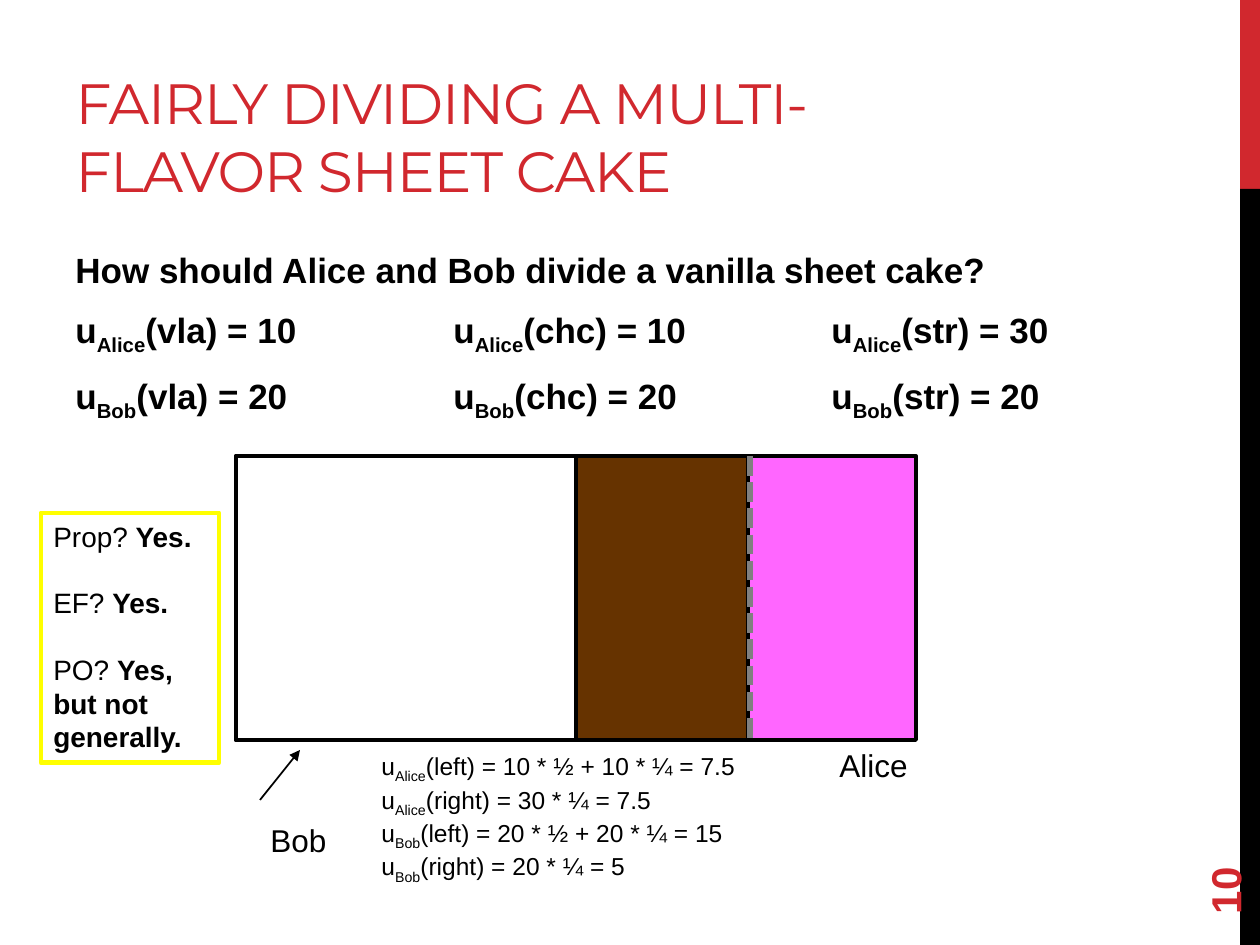
from lxml.etree import SubElement
from pptx import Presentation
from pptx.dml.color import RGBColor
from pptx.enum.dml import MSO_LINE
from pptx.enum.shapes import MSO_CONNECTOR, MSO_SHAPE
from pptx.enum.text import MSO_ANCHOR, MSO_AUTO_SIZE, PP_ALIGN
from pptx.oxml.ns import qn
from pptx.util import Pt

PX = 914400 / 126
RED, BLACK, WHITE, YELLOW = "D1282E", "000000", "FFFFFF", "FFFF00"
PINK, BROWN, GRAY = "FF66FF", "663300", "808080"


def rgb(color):
    return RGBColor.from_string(color)


def add_run(p, text, size, color=BLACK, bold=False, sub=False, font="Arial"):
    r = p.add_run()
    r.text = text
    r.font.name, r.font.size, r.font.bold = font, Pt(size), bold
    r.font.color.rgb = rgb(color)
    if sub:
        r._r.get_or_add_rPr().set("baseline", "-25000")
    return r


prs = Presentation()
prs.slide_width, prs.slide_height = int(1260 * PX), int(945 * PX)
s = prs.slides.add_slide(prs.slide_layouts[5])

# Side bars and cake pieces: left, top, width, height, fill, outline
rectangles = [
    (1240, 0, 20, 189, RED, None),
    (1240, 189, 20, 756, BLACK, None),
    (236, 456, 680, 284, PINK, BLACK),
    (236, 456, 340, 284, WHITE, BLACK),
    (576, 456, 172, 284, BROWN, BLACK),
]
for x, y, w, h, fill, outline in rectangles:
    sp = s.shapes.add_shape(MSO_SHAPE.RECTANGLE, *[int(v * PX) for v in (x, y, w, h)])
    sp.shadow.inherit = False
    sp.fill.solid()
    sp.fill.fore_color.rgb = rgb(fill)
    if outline:
        sp.line.color.rgb = rgb(outline)
        sp.line.width = Pt(2.25)
    else:
        sp.line.fill.background()

# Title
title = s.shapes.title
title.left, title.top, title.width, title.height = [int(v * PX) for v in (63, 21, 839, 189)]
tf = title.text_frame
tf.word_wrap, tf.auto_size = True, MSO_AUTO_SIZE.NONE
tf.vertical_anchor = MSO_ANCHOR.BOTTOM
p = tf.paragraphs[0]
p.alignment = PP_ALIGN.LEFT
r = add_run(p, "FAIRLY DIVIDING A MULTI-FLAVOR SHEET CAKE", 32.4, RED, font="Montserrat")
r._r.get_or_add_rPr().set("spc", "-60")

# Question and utilities, in three tabbed columns
sp = s.shapes.add_textbox(*[int(v * PX) for v in (63, 242, 1108, 362)])
tf = sp.text_frame
tf.word_wrap = True
p = tf.paragraphs[0]
p.space_after = Pt(6)
add_run(p, "How should Alice and Bob divide a vanilla sheet cake?", 20, bold=True)
utilities = {"Alice": (10, 10, 30), "Bob": (20, 20, 20)}
for person, values in utilities.items():
    p = tf.add_paragraph()
    tabs = SubElement(p._p.get_or_add_pPr(), qn("a:tabLst"))
    for column in (1, 2):
        SubElement(tabs, qn("a:tab"), pos=str(int(column * 378 * PX)), algn="l")
    p.space_before, p.space_after = Pt(4.5), Pt(6)
    for i, (flavor, value) in enumerate(zip(("vla", "chc", "str"), values)):
        add_run(p, "\tu" if i else "u", 20, bold=True)
        add_run(p, person, 20, bold=True, sub=True)
        add_run(p, f"({flavor}) = {value}", 20, bold=True)

# Fairness verdicts
sp = s.shapes.add_textbox(*[int(v * PX) for v in (41, 513, 178, 250)])
sp.line.color.rgb = rgb(YELLOW)
sp.line.width = Pt(2.75)
tf = sp.text_frame
tf.word_wrap = True
verdicts = [("Prop? ", "Yes."), ("EF? ", "Yes."), ("PO? ", "Yes, but not generally.")]
for i, (question, answer) in enumerate(verdicts):
    p = tf.add_paragraph() if i else tf.paragraphs[0]
    if i:
        p.space_before = Pt(19)
    add_run(p, question, 16)
    add_run(p, answer, 16, bold=True)

# Value of each side of the cut
sp = s.shapes.add_textbox(*[int(v * PX) for v in (369, 745, 392, 131)])
tf = sp.text_frame
tf.word_wrap = True
sides = [
    ("Alice", "(left) = 10 * ½ + 10 * ¼ = 7.5"),
    ("Alice", "(right) = 30 * ¼ = 7.5"),
    ("Bob", "(left) = 20 * ½ + 20 * ¼ = 15"),
    ("Bob", "(right) = 20 * ¼ = 5"),
]
for i, (person, value) in enumerate(sides):
    p = tf.add_paragraph() if i else tf.paragraphs[0]
    add_run(p, "u", 14)
    add_run(p, person, 14, sub=True)
    add_run(p, value, 14)

# Owners of the pieces and the turned page number
labels = [
    ("Alice", 827, 740, 95, 50, 18, BLACK, False, 0),
    ("Bob", 258, 815, 83, 50, 18, BLACK, False, 0),
    ("10", 1134, 811, 181, 50, 24, RED, True, 270),
]
for text, x, y, w, h, size, color, bold, turn in labels:
    sp = s.shapes.add_textbox(*[int(v * PX) for v in (x, y, w, h)])
    sp.rotation = turn
    tf = sp.text_frame
    tf.word_wrap = True
    tf.vertical_anchor = MSO_ANCHOR.MIDDLE
    add_run(tf.paragraphs[0], text, size, color, bold)

# Dashed cut and arrow from Bob to his piece
lines = [
    (750, 456, 750, 740, GRAY, 3.75, True),
    (260, 800, 300, 750, BLACK, 1, False),
]
for x1, y1, x2, y2, color, width, is_cut in lines:
    line = s.shapes.add_connector(
        MSO_CONNECTOR.STRAIGHT, *[int(v * PX) for v in (x1, y1, x2, y2)])
    line.line.color.rgb = rgb(color)
    line.line.width = Pt(width)
    if is_cut:
        line.line.dash_style = MSO_LINE.SQUARE_DOT
    else:
        SubElement(line.line._get_or_add_ln(), qn("a:tailEnd"), type="triangle")
    SubElement(line._element.spPr, qn("a:effectLst"))

prs.save("out.pptx")
